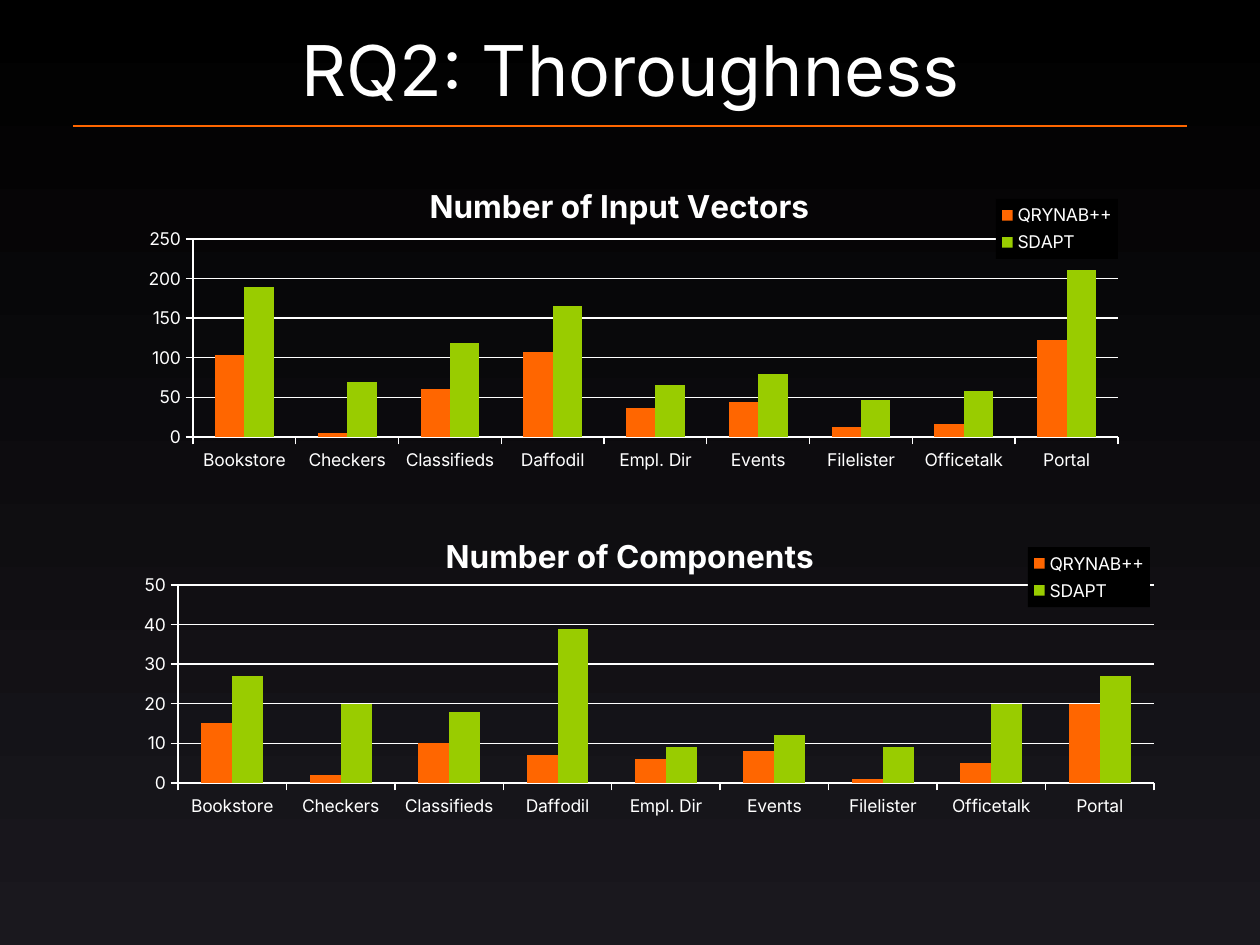
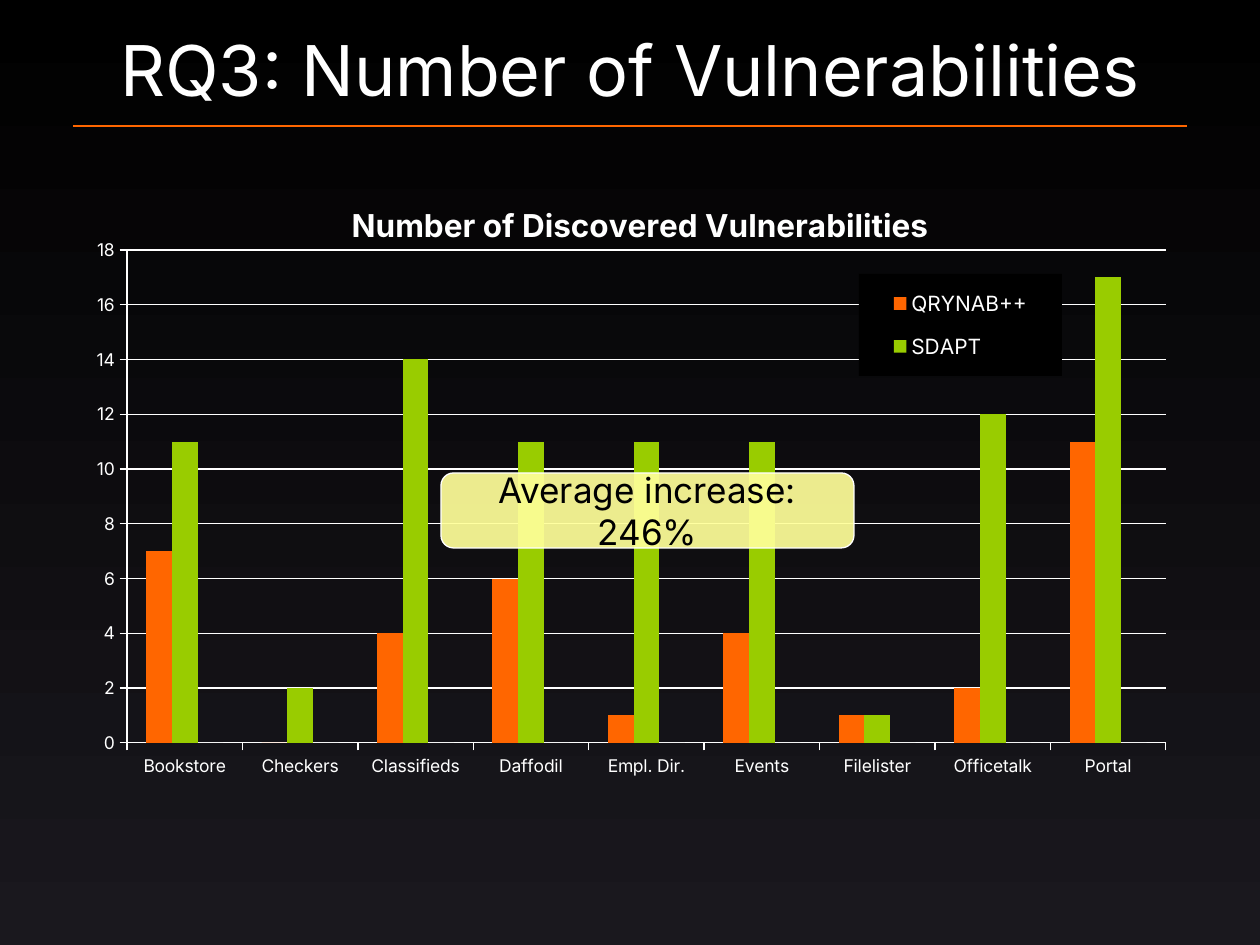
from dataclasses import dataclass

from lxml.etree import SubElement
from pptx import Presentation
from pptx.chart.data import CategoryChartData
from pptx.dml.color import RGBColor
from pptx.enum.chart import XL_CHART_TYPE, XL_LEGEND_POSITION, XL_TICK_MARK
from pptx.enum.shapes import MSO_CONNECTOR, MSO_SHAPE
from pptx.enum.text import MSO_ANCHOR, PP_ALIGN
from pptx.oxml import parse_xml
from pptx.oxml.ns import nsdecls, qn
from pptx.util import Emu, Pt


@dataclass(frozen=True)
class Theme:
    """Colours, font and type sizes shared by the slides."""
    font: str = "Inter"
    white: str = "FFFFFF"
    black: str = "000000"
    night: str = "1A181E"
    orange: str = "FF6600"
    green: str = "99CC00"
    grey: str = "AAAAAA"
    yellow: str = "FFFF99"
    title_size: float = 40
    callout_size: float = 20
    chart_title_size: float = 18
    chart_size: float = 10
    line_width: float = 0.75


THEME = Theme()
SLIDE_SIZE = (1260, 945)
TITLE_BOX = (78, 21, 1104, 95)
RULE = (73, 126, 1187, 126)
SERIES_COLORS = (THEME.orange, THEME.green, THEME.grey)
PROGRAMS = ["Bookstore", "Checkers", "Classifieds", "Daffodil", "Empl. Dir",
            "Events", "Filelister", "Officetalk", "Portal"]

SLIDES = [
    {
        "title": "RQ2: Thoroughness",
        "charts": [
            {
                "title": "Number of Input Vectors", "title_at": (424, 179),
                "box": (84, 168, 1071, 378), "plot": (193, 239, 925, 198),
                "legend": (996, 199, 122, 60), "legend_size": 10,
                "legend_position": XL_LEGEND_POSITION.RIGHT, "overlay": True,
                "scale": (250, 50), "categories": PROGRAMS,
                "series": {
                    "QRYNAB++": [104, 5, 61, 107, 36, 44, 12, 16, 123],
                    "SDAPT": [189, 69, 118, 165, 66, 79, 46, 58, 211],
                },
            },
            {
                "title": "Number of Components", "title_at": (440, 529),
                "box": (84, 514, 1092, 378), "plot": (178, 585, 976, 198),
                "legend": (1028, 547, 122, 60), "legend_size": 10,
                "legend_position": XL_LEGEND_POSITION.CORNER, "overlay": True,
                "scale": (50, 10), "categories": PROGRAMS,
                "series": {
                    "QRYNAB++": [15, 2, 10, 7, 6, 8, 1, 5, 20],
                    "SDAPT": [27, 20, 18, 39, 9, 12, 9, 20, 27],
                },
            },
        ],
    },
    {
        "title": "RQ3: Number of Vulnerabilities",
        "charts": [
            {
                "title": "Number of Discovered Vulnerabilities",
                "title_at": (346, 198),
                "box": (73, 179, 1134, 620), "plot": (127, 250, 1039, 493),
                "legend": (859, 274, 203, 102), "legend_size": 12,
                "legend_position": XL_LEGEND_POSITION.RIGHT, "overlay": False,
                "scale": (18, 2), "unlisted": [2],
                "categories": ["Empl. Dir." if name == "Empl. Dir" else name
                               for name in PROGRAMS],
                "series": {
                    "QRYNAB++": [7, 0, 4, 6, 1, 4, 1, 2, 11],
                    "SDAPT": [11, 2, 14, 11, 11, 11, 1, 12, 17],
                    "Series 3": [0] * 9,
                },
            },
        ],
        "callout": {"text": "Average increase: 246%", "box": (441, 473, 413, 75)},
    },
]


def pixels(*lengths):
    """Turn pixel lengths into EMU at 126 pixels to the inch."""
    return [Emu(round(length * 914400 / 126)) for length in lengths]


def assign(target, values):
    """Set each attribute of target from a dict."""
    for name, value in values.items():
        setattr(target, name, value)


def style_font(font, size, color, bold=False):
    """Apply the theme font with a size and a colour."""
    assign(font, {"name": THEME.font, "size": Pt(size), "bold": bold})
    font.color.rgb = RGBColor.from_string(color)


def style_fill(fill, color):
    """Make a fill solid."""
    fill.solid()
    fill.fore_color.rgb = RGBColor.from_string(color)


def style_line(line, color):
    """Draw a thin line in a colour."""
    line.width = Pt(THEME.line_width)
    style_fill(line.fill, color)


def write(shape, text, size, color):
    """Put one centred paragraph in the middle of a shape."""
    frame = shape.text_frame
    assign(frame, {"word_wrap": True, "vertical_anchor": MSO_ANCHOR.MIDDLE})
    para = frame.paragraphs[0]
    para.alignment = PP_ALIGN.CENTER
    span = para.add_run()
    span.text = text
    style_font(span.font, size, color)


def place(part, chart_box, area, target=None):
    """Fix a chart part at a pixel area by a manual layout."""
    for old in part.xpath("c:layout"):
        part.remove(old)
    left, top, width, height = chart_box
    fractions = [(area[0] - left) / width, (area[1] - top) / height]
    fractions += [size / whole for size, whole in zip(area[2:], (width, height))]
    layout = parse_xml(f"<c:layout {nsdecls('c')}><c:manualLayout/></c:layout>")
    settings = [("layoutTarget", target)] if target else []
    settings += [("xMode", "edge"), ("yMode", "edge")]
    settings += [(key, f"{value:.4f}") for key, value in zip("xywh", fractions)]
    for key, value in settings:
        SubElement(layout[0], qn(f"c:{key}")).set("val", value)
    overlay = part.xpath("c:overlay")
    part.insert(part.index(overlay[0]) if overlay else 0, layout)


def style_axes(chart, maximum, step):
    """Give both axes white lines and outside ticks, and set the scale."""
    for axis in (chart.category_axis, chart.value_axis):
        assign(axis, {"major_tick_mark": XL_TICK_MARK.OUTSIDE,
                      "minor_tick_mark": XL_TICK_MARK.NONE})
        style_line(axis.format.line, THEME.white)
    assign(chart.value_axis, {"minimum_scale": 0, "maximum_scale": maximum,
                              "major_unit": step, "has_major_gridlines": True})
    style_line(chart.value_axis.major_gridlines.format.line, THEME.white)


def add_legend(chart, content):
    """Add a black legend box, leaving out the unlisted series."""
    chart.has_legend = True
    assign(chart.legend, {"position": content["legend_position"],
                          "include_in_layout": content["overlay"]})
    style_font(chart.legend.font, content["legend_size"], THEME.white)
    legend = chart.element.xpath("c:chart/c:legend")[0]
    for index in content.get("unlisted", []):
        legend.xpath("c:legendPos")[0].addnext(parse_xml(
            f'<c:legendEntry {nsdecls("c")}><c:idx val="{index}"/>'
            '<c:delete val="1"/></c:legendEntry>'))
    place(legend, content["box"], content["legend"])
    legend.xpath("c:overlay")[0].addnext(parse_xml(
        f'<c:spPr {nsdecls("c", "a")}><a:solidFill>'
        f'<a:srgbClr val="{THEME.black}"/></a:solidFill></c:spPr>'))


def add_column_chart(page, content):
    """Add one clustered column chart with its title and legend."""
    data = CategoryChartData()
    data.categories = content["categories"]
    for name, values in content["series"].items():
        data.add_series(name, values)
    chart = page.shapes.add_chart(XL_CHART_TYPE.COLUMN_CLUSTERED,
                                  *pixels(*content["box"]), data).chart
    style_font(chart.font, THEME.chart_size, THEME.white)
    plot = chart.plots[0]
    assign(plot, {"gap_width": 150, "overlap": 0, "vary_by_categories": False})
    for series, color in zip(plot.series, SERIES_COLORS):
        style_fill(series.format.fill, color)
    style_axes(chart, *content["scale"])

    chart.has_title = True
    para = chart.chart_title.text_frame.paragraphs[0]
    span = para.add_run()
    span.text = content["title"]
    style_font(span.font, THEME.chart_title_size, THEME.white, bold=True)
    place(chart.element.xpath("c:chart/c:title")[0], content["box"],
          content["title_at"])
    place(chart.element.xpath("c:chart/c:plotArea")[0], content["box"],
          content["plot"], "inner")
    add_legend(chart, content)


def add_callout(page, text, box):
    """Add the translucent rounded note over the chart."""
    shape = page.shapes.add_shape(MSO_SHAPE.ROUNDED_RECTANGLE, *pixels(*box))
    shape.shadow.inherit = False
    style_fill(shape.fill, THEME.yellow)
    color = shape.element.spPr.find(qn("a:solidFill"))[0]
    SubElement(color, qn("a:alpha")).set("val", "92000")
    style_line(shape.line, THEME.white)
    inset, = pixels(12.6)
    assign(shape.text_frame, {f"margin_{side}": inset for side in
                              ("left", "top", "right", "bottom")})
    write(shape, text, THEME.callout_size, THEME.black)


def add_page(deck, title):
    """Add a slide with the shared gradient, rule and title."""
    page = deck.slides.add_slide(deck.slide_layouts[6])
    fill = page.background.fill
    fill.gradient()
    fill.gradient_angle = 270
    for stop, color, position in zip(fill.gradient_stops,
                                     (THEME.black, THEME.night), (0, 1)):
        stop.color.rgb = RGBColor.from_string(color)
        stop.position = position
    rule = page.shapes.add_connector(MSO_CONNECTOR.STRAIGHT, *pixels(*RULE))
    style_line(rule.line, THEME.orange)
    SubElement(rule.element.spPr, qn("a:effectLst"))
    box = page.shapes.add_textbox(*pixels(*TITLE_BOX))
    write(box, title, THEME.title_size, THEME.white)
    return page


def main():
    """Build the deck and save it."""
    deck = Presentation()
    deck.slide_width, deck.slide_height = pixels(*SLIDE_SIZE)
    for content in SLIDES:
        page = add_page(deck, content["title"])
        for chart_content in content["charts"]:
            add_column_chart(page, chart_content)
        if "callout" in content:
            add_callout(page, **content["callout"])
    deck.save("out.pptx")


main()
